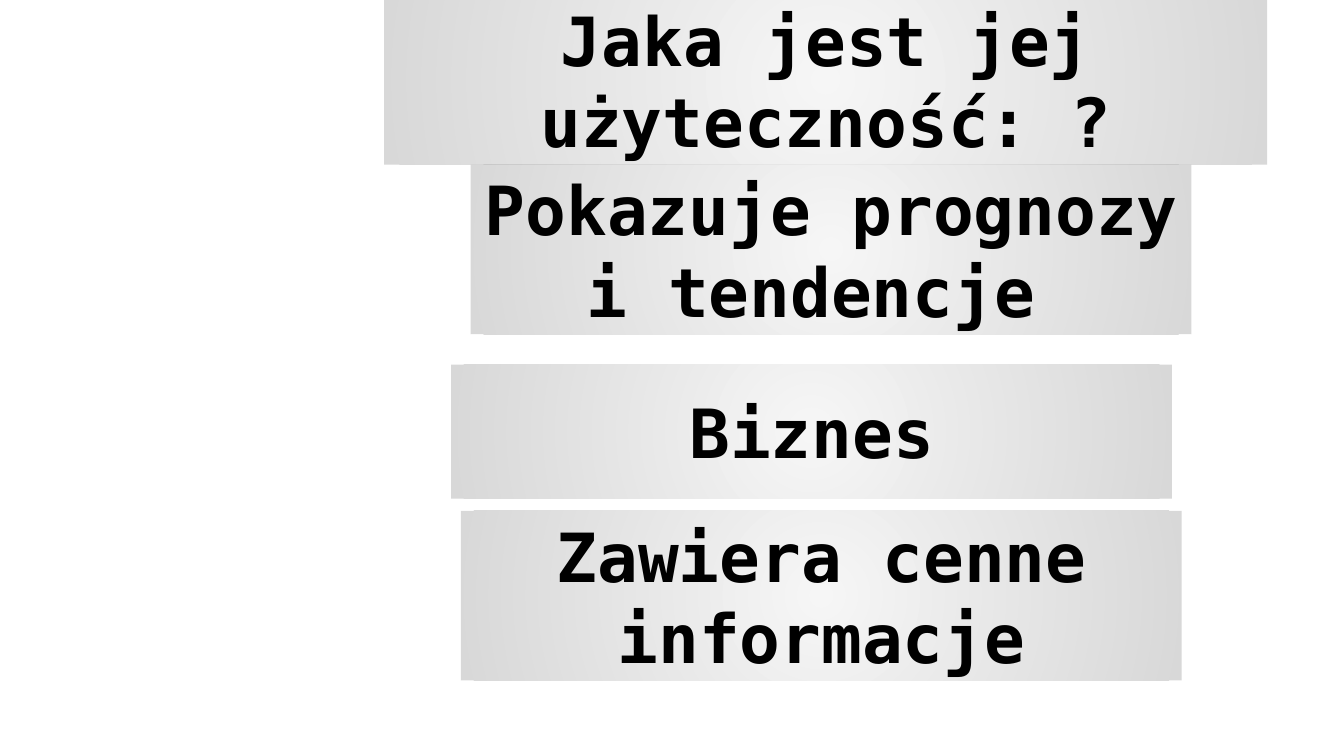
"""Build a slide on the usefulness of a source as four gradient panels."""
from dataclasses import dataclass

from lxml import etree
from pptx import Presentation
from pptx.dml.color import RGBColor
from pptx.enum import shapes, text
from pptx.oxml.ns import qn
from pptx.util import Inches, Pt


@dataclass(frozen=True)
class Theme:
    font: str = "DejaVu Sans Mono"
    size: int = 40
    ink: str = "000000"
    center: str = "EEEEEE"
    edge: str = "B2B2B2"
    opacity: int = 50


THEME = Theme()
TITLE = ("Jaka jest jej użyteczność: ?", 3.15, -0.04, 7.24, 1.39)
PANELS = [
    ("Pokazuje prognozy i tendencje ", 3.86, 1.35, 5.91, 1.39),
    ("Biznes", 3.7, 2.99, 5.91, 1.1),
    ("Zawiera cenne informacje", 3.78, 4.19, 5.91, 1.39),
]


def fill_radial(shape):
    """Fill the shape with a translucent gradient from its center."""
    shape.fill.gradient()
    for stop, color in zip(shape.fill.gradient_stops, (THEME.center, THEME.edge)):
        stop.color.rgb = RGBColor.from_string(color)
    gradient = shape._element.spPr.find(qn("a:gradFill"))
    for color in gradient.iter(qn("a:srgbClr")):
        etree.SubElement(color, qn("a:alpha"), val=str(THEME.opacity * 1000))
    gradient.remove(gradient.find(qn("a:lin")))
    circle = etree.SubElement(gradient, qn("a:path"), path="circle")
    middle = dict.fromkeys("ltrb", "50000")
    etree.SubElement(circle, qn("a:fillToRect"), middle)


def write_centered(shape, wording):
    """Write one bold paragraph in the middle of the shape."""
    frame = shape.text_frame
    frame.text = wording
    frame.word_wrap = True
    frame.auto_size = text.MSO_AUTO_SIZE.SHAPE_TO_FIT_TEXT
    frame.vertical_anchor = text.MSO_ANCHOR.MIDDLE
    frame.margin_left = frame.margin_right = Inches(0.1)
    frame.margin_top = frame.margin_bottom = Inches(0.05)
    paragraph = frame.paragraphs[0]
    paragraph.alignment = text.PP_ALIGN.CENTER
    paragraph.font.name = THEME.font
    paragraph.font.size = Pt(THEME.size)
    paragraph.font.bold = True
    paragraph.font.color.rgb = RGBColor.from_string(THEME.ink)


def style_panel(shape, wording):
    """Give a panel its gradient and wording, without an outline."""
    fill_radial(shape)
    shape.line.fill.background()
    write_centered(shape, wording)


def place_title(slide, wording, *box):
    """Move and format the title placeholder."""
    title = slide.shapes.title
    title.left, title.top, title.width, title.height = map(Inches, box)
    style_panel(title, wording)


def add_panel(slide, wording, *box):
    """Add a rectangular panel."""
    panel = slide.shapes.add_shape(shapes.MSO_SHAPE.RECTANGLE, *map(Inches, box))
    panel.shadow.inherit = False
    style_panel(panel, wording)


def main():
    """Build and save the presentation."""
    presentation = Presentation()
    presentation.slide_width = Inches(11.02)
    presentation.slide_height = Inches(6.2)
    slide = presentation.slides.add_slide(presentation.slide_layouts[5])
    place_title(slide, *TITLE)
    for panel in PANELS:
        add_panel(slide, *panel)
    presentation.save("out.pptx")


if __name__ == "__main__":
    main()
